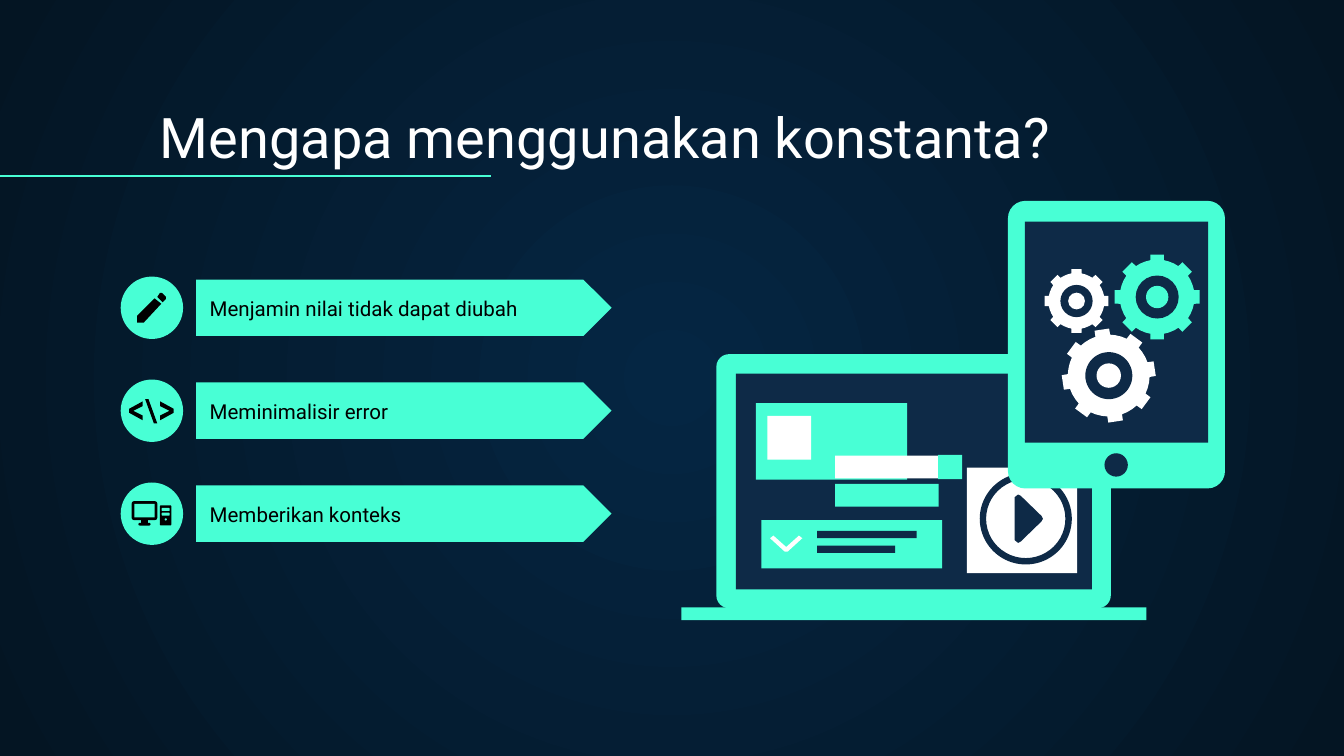
"""Build the slide that explains why constants are used."""
import math

from lxml import etree
from pptx import Presentation
from pptx import util as u
from pptx.dml.color import RGBColor
from pptx.enum import shapes, text
from pptx.oxml.ns import qn

MINT = RGBColor(0x48, 0xFF, 0xD5)
NAVY = RGBColor(0x0E, 0x2A, 0x47)
WHITE = RGBColor(0xFF, 0xFF, 0xFF)
BLACK = RGBColor(0, 0, 0)
GLOW = RGBColor(0x05, 0x26, 0x43)
NIGHT = RGBColor(0x04, 0x15, 0x23)

KIND = shapes.MSO_SHAPE
COLUMNS, ROWS = 100, 56.25
REASONS = ("Menjamin nilai tidak dapat diubah", "Meminimalisir error", "Memberikan konteks")


class Deck:
    """Holds the style and the current slide; lengths are grid columns and rows."""

    def __init__(self, width=10, height=5.625, font="Roboto"):
        self.font = font
        self.presentation = Presentation()
        self.presentation.slide_width = u.Inches(width)
        self.presentation.slide_height = u.Inches(height)
        self.slide = self.presentation.slides.add_slide(self.presentation.slide_layouts[4])
        self.shapes = self.slide.shapes

    def x(self, column):
        return round(self.presentation.slide_width * column / COLUMNS)

    def y(self, row):
        return round(self.presentation.slide_height * row / ROWS)

    def box(self, left, top, width, height):
        return self.x(left), self.y(top), self.x(width), self.y(height)

    def background(self, centre, edge):
        fill = self.slide.background.fill
        fill.gradient()
        for stop, color, position in zip(fill.gradient_stops, (centre, edge), (0, 1)):
            stop.color.rgb = color
            stop.position = position
        gradient = next(self.slide.element.iter(qn("a:gradFill")))
        gradient.remove(gradient.find(qn("a:lin")))
        circle = etree.SubElement(gradient, qn("a:path"), {"path": "circle"})
        etree.SubElement(circle, qn("a:fillToRect"), dict.fromkeys("ltrb", "50000"))

    def paint(self, shape, color):
        shape.shadow.inherit = False
        shape.fill.solid()
        shape.fill.fore_color.rgb = color
        shape.line.fill.background()

    def preset(self, kind, area, color, adjustment=None):
        shape = self.shapes.add_shape(kind, *self.box(*area))
        if adjustment is not None:
            shape.adjustments[0] = adjustment
        self.paint(shape, color)

    def rect(self, area, color):
        self.preset(KIND.RECTANGLE, area, color)

    def rounded(self, area, color, radius):
        self.preset(KIND.ROUNDED_RECTANGLE, area, color, radius)

    def disc(self, column, row, radius, color):
        self.preset(KIND.OVAL, (column - radius, row - radius, 2 * radius, 2 * radius), color)

    def polygon(self, points, color):
        corners = [(self.x(column), self.y(row)) for column, row in points]
        outline = self.shapes.build_freeform(*corners[0])
        outline.add_line_segments(corners[1:], close=True)
        self.paint(outline.convert_to_shape(), color)

    def gear(self, column, row, radius, color, turn=0):
        profile = ((-10.5, 0.87), (-9, 1), (9, 1), (10.5, 0.87), (18, 0.87), (27, 0.87))
        rim = []
        for tooth in range(0, 360, 45):
            for offset, share in profile:
                angle = math.radians(tooth + offset + turn)
                rim.append((column + radius * share * math.cos(angle),
                            row + radius * share * math.sin(angle)))
        self.polygon(rim, color)
        self.disc(column, row, radius * 0.5, NAVY)
        self.disc(column, row, radius * 0.26, color)

    def line(self, start, end, color, points):
        rule = self.shapes.add_connector(
            shapes.MSO_CONNECTOR.STRAIGHT,
            self.x(start[0]), self.y(start[1]), self.x(end[0]), self.y(end[1]))
        rule.line.color.rgb = color
        rule.line.width = u.Pt(points)
        etree.SubElement(rule._element.spPr, qn("a:effectLst"))

    def words(self, placeholder, area, wording, size, color):
        placeholder.left, placeholder.top, placeholder.width, placeholder.height = self.box(*area)
        self.shapes._spTree.append(placeholder._element)
        frame = placeholder.text_frame
        frame.text = wording
        frame.word_wrap = True
        frame.auto_size = text.MSO_AUTO_SIZE.NONE
        frame.vertical_anchor = text.MSO_ANCHOR.BOTTOM
        frame.margin_left = frame.margin_right = self.x(1)
        frame.margin_top = frame.margin_bottom = self.y(1)
        paragraph = frame.paragraphs[0]
        properties = paragraph._p.get_or_add_pPr()
        properties.set("marL", "0")
        properties.set("indent", "0")
        etree.SubElement(properties, qn("a:buNone"))
        paragraph.alignment = text.PP_ALIGN.LEFT
        paragraph.space_before = u.Pt(0)
        font = paragraph.runs[0].font
        font.name, font.size, font.bold = self.font, u.Pt(size), False
        font.color.rgb = color


def draw_reasons(deck):
    """Place the three arrows with their round badges and words."""
    _, *bodies, spare = deck.slide.placeholders
    spare._element.getparent().remove(spare._element)
    for index, (body, reason) in enumerate(zip(bodies, REASONS)):
        top = 20.8 + 7.66 * index
        deck.preset(KIND.PENTAGON, (14.6, top, 30.9, 4.2), MINT, 0.5)
        deck.disc(11.3, top + 2.1, 2.32, MINT)
        deck.words(body, (14.6, top + 2, 30.9, 2.1), reason, 11, BLACK)


def draw_badge_icons(deck):
    """Draw the pencil, the code sign and the computer."""
    deck.polygon(((11.5, 22.2), (10.2, 23.5), (10.2, 24), (10.7, 24), (12, 22.6)), BLACK)
    deck.polygon(((11.7, 22.1), (11.9, 21.8), (12.05, 21.8), (12.35, 22.1),
                  (12.35, 22.25), (12.1, 22.5)), BLACK)

    bracket = ((1.65, -0.7), (0.65, -0.15), (0.65, 0.15), (1.65, 0.7),
               (1.65, 0.35), (0.95, 0), (1.65, -0.35))
    for side in (-1, 1):
        deck.polygon([(11.27 + side * (2.3 - across), 30.57 + down)
                      for across, down in bracket], BLACK)
    deck.polygon(((10.8, 29.7), (11.05, 29.7), (11.7, 31.5), (11.45, 31.5)), BLACK)

    deck.rounded((9.8, 37.3, 1.9, 1.4), BLACK, 0.12)
    deck.rect((10, 37.5, 1.5, 1), MINT)
    deck.rect((10.5, 38.7, 0.5, 0.3), BLACK)
    deck.rounded((10.3, 38.9, 0.9, 0.2), BLACK, 0.5)
    deck.rounded((11.9, 37.6, 0.85, 1.5), BLACK, 0.1)
    for top in (37.8, 38.15):
        deck.rounded((12.03, top, 0.6, 0.22), MINT, 0.3)
    deck.disc(12.33, 38.65, 0.08, MINT)


def draw_laptop(deck):
    """Draw the laptop and the page on its screen."""
    deck.rounded((53.3, 26.35, 29.35, 18.9), MINT, 0.05)
    deck.rect((54.75, 27.8, 26.5, 16.05), NAVY)
    deck.rect((50.7, 45.2, 34.6, 0.95), MINT)
    deck.rect((56.25, 30, 11.25, 5.7), MINT)
    deck.rect((57.1, 30.95, 3.25, 3.25), WHITE)
    deck.rect((56.65, 38.7, 13.45, 3.6), MINT)
    for top, width in ((39.5, 7.4), (40.6, 5.8)):
        deck.rect((60.8, top, width, 0.55), NAVY)
    deck.polygon(((57.3, 40.05), (57.55, 39.85), (58.5, 40.7), (59.45, 39.85),
                  (59.7, 40.05), (58.6, 41.05), (58.4, 41.05)), WHITE)
    deck.rect((62.15, 36, 7.7, 1.7), MINT)
    deck.rect((62.15, 33.9, 7.7, 1.7), WHITE)
    deck.rect((69.8, 33.85, 1.8, 1.8), MINT)
    deck.rect((71.95, 34.8, 8.2, 7.85), WHITE)
    deck.preset(KIND.DONUT, (72.9, 35.2, 6.85, 6.8), NAVY, 0.07)
    deck.polygon(((75.5, 37), (75.75, 36.8), (75.95, 36.9), (77.5, 38.4), (77.6, 38.6),
                  (77.5, 38.8), (75.95, 40.3), (75.75, 40.4), (75.5, 40.2)), NAVY)


def draw_tablet(deck):
    """Draw the tablet with its three gears."""
    deck.rounded((75, 14.95, 16.15, 21.4), MINT, 0.08)
    deck.rect((76.25, 16.5, 13.65, 16.45), NAVY)
    deck.disc(83.05, 34.6, 0.87, NAVY)
    deck.gear(86.1, 22.1, 3.2, MINT)
    deck.gear(80.1, 22.4, 2.4, WHITE)
    deck.gear(82.5, 27.95, 3.5, WHITE, turn=-8.5)


def main():
    deck = Deck()
    deck.background(GLOW, NIGHT)
    deck.words(deck.shapes.title, (10.9, 7, 85.7, 6.6), "Mengapa menggunakan konstanta?", 30, WHITE)
    deck.line((0, 13.1), (36.5, 13.1), MINT, 0.75)
    draw_reasons(deck)
    draw_badge_icons(deck)
    draw_laptop(deck)
    draw_tablet(deck)
    deck.presentation.save("out.pptx")


if __name__ == "__main__":
    main()
